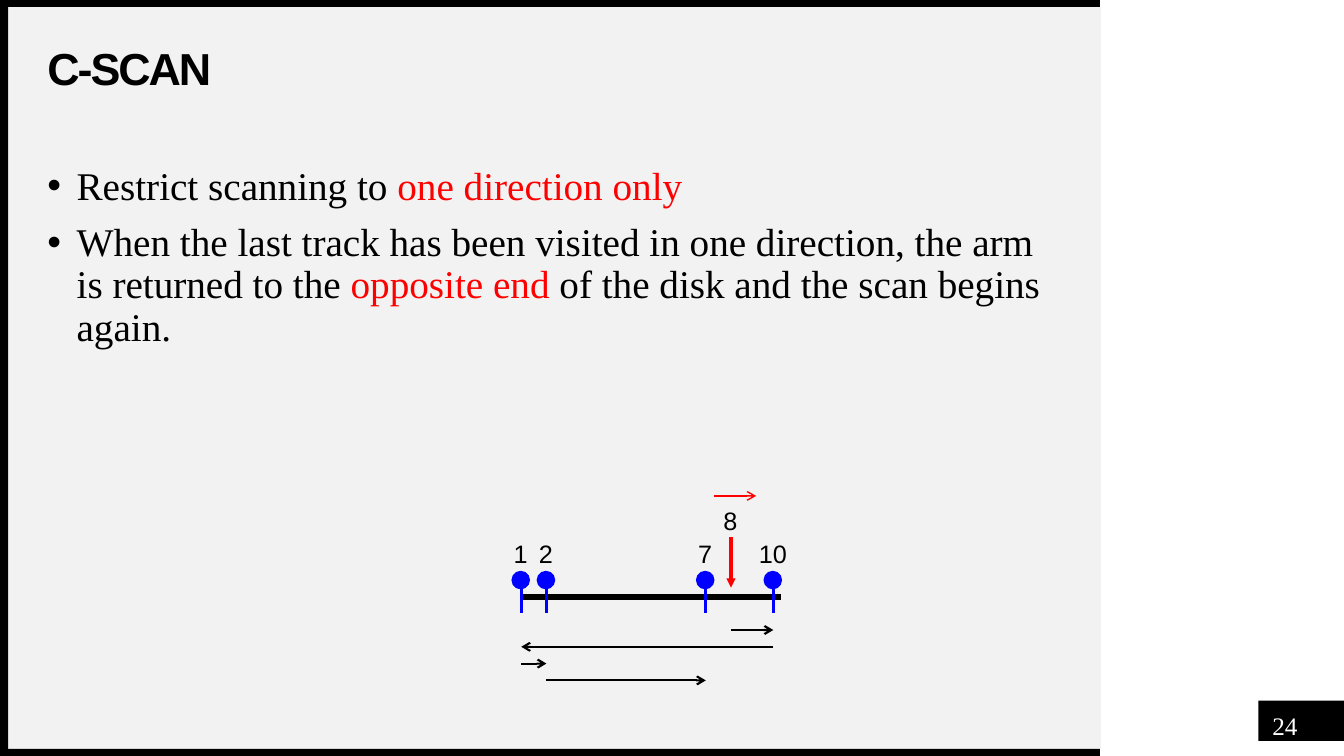
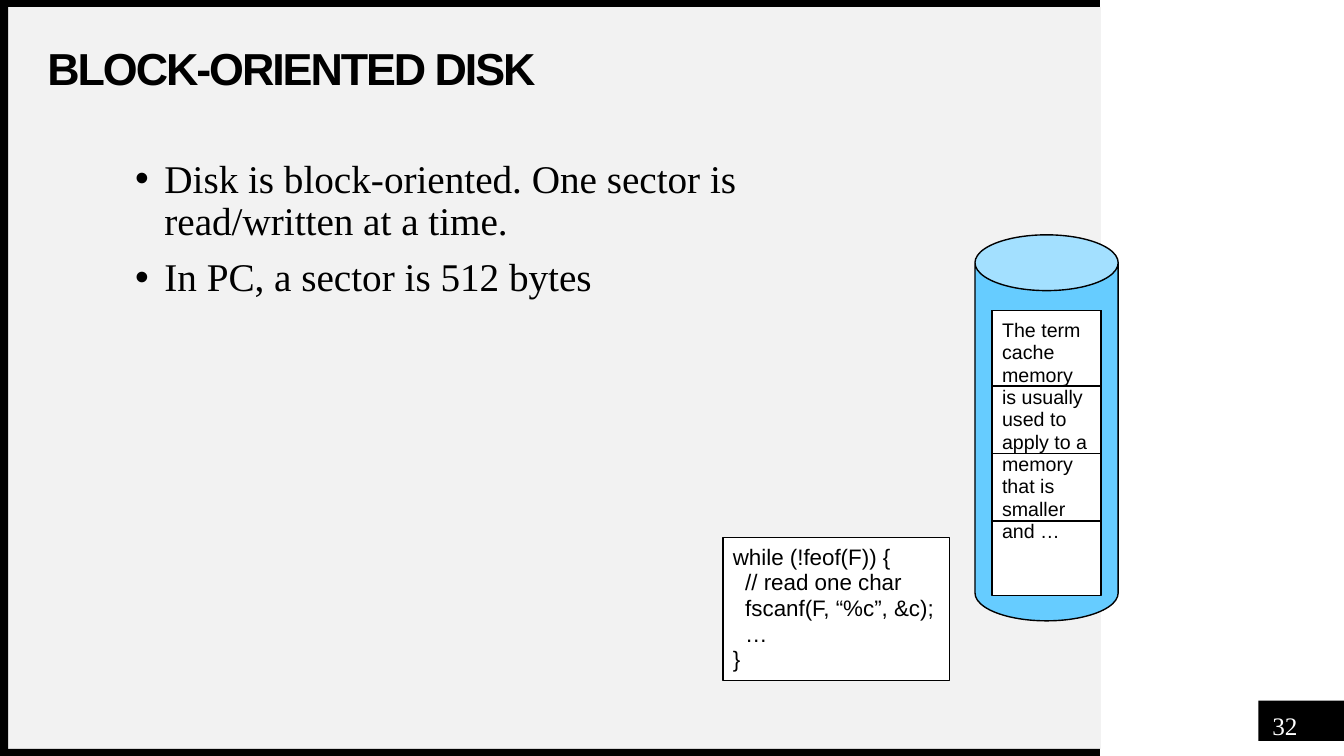
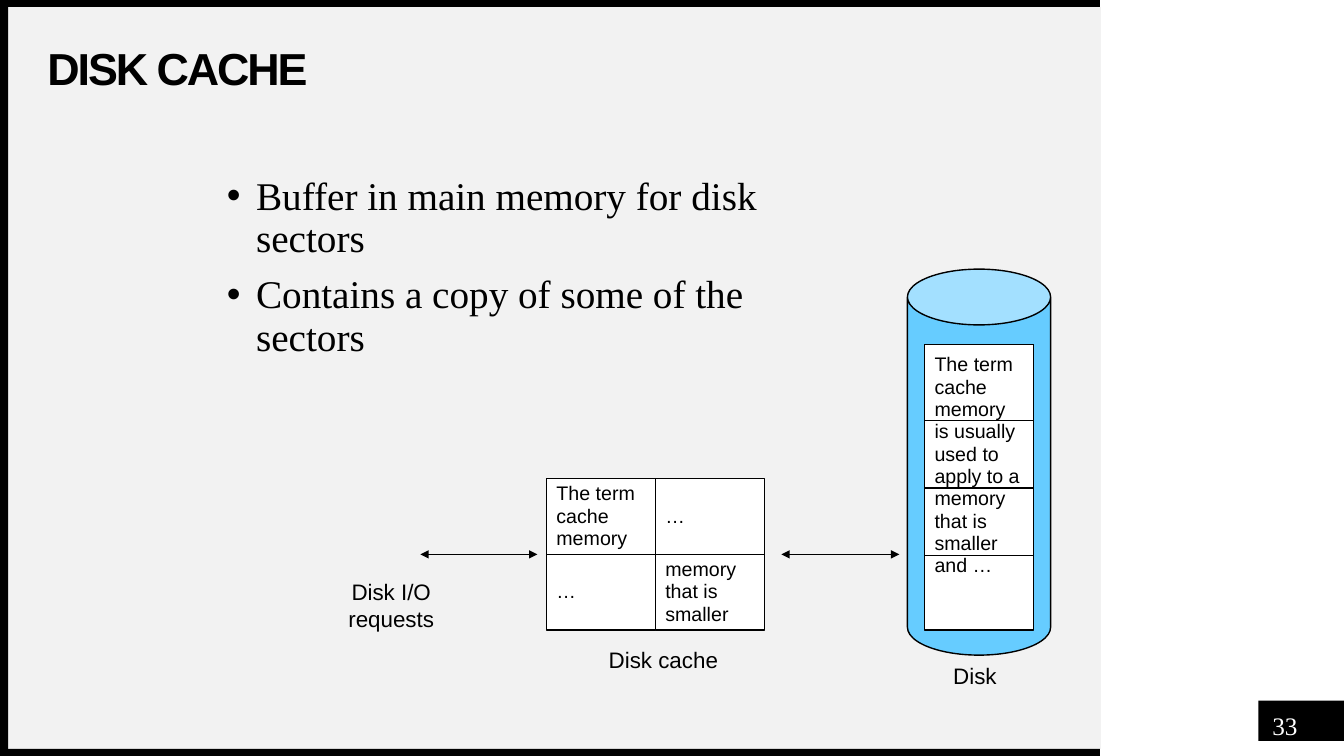
from dataclasses import dataclass

from pptx import Presentation
from pptx import util as u
from pptx.dml.color import RGBColor
from pptx.enum import shapes, text
from pptx.oxml import parse_xml
from pptx.oxml import ns


@dataclass(frozen=True)
class Theme:
    ink: str = "000000"
    paper: str = "FFFFFF"
    panel: str = "F2F2F2"
    accent: str = "FF0000"
    request: str = "0000FF"
    disk: str = "66CCFF"
    sans: str = "Arial"
    serif: str = "Times New Roman"
    title_size: int = 32
    body_size: int = 28
    number_size: int = 18
    label_size: int = 16
    sector_size: int = 14


theme = Theme()
Inches = u.Inches
RECTANGLE = shapes.MSO_SHAPE.RECTANGLE
MIDDLE = text.MSO_ANCHOR.MIDDLE
LEFT, CENTER = text.PP_ALIGN.LEFT, text.PP_ALIGN.CENTER


def add_box(slide, at, lines=(), kind=RECTANGLE, fill=None, line=theme.ink, size=theme.sector_size,
            font=theme.sans, color=theme.ink, align=LEFT, anchor=MIDDLE, wrap=True, spacing=0.95):
    """Add a preset shape, or a text box when kind is None, with one paragraph per line."""
    place = [Inches(value) for value in at]
    if kind is None:
        shape = slide.shapes.add_textbox(*place)
    else:
        shape = slide.shapes.add_shape(kind, *place)
        shape.shadow.inherit = False
        if fill:
            shape.fill.solid()
            shape.fill.fore_color.rgb = RGBColor.from_string(fill)
        else:
            shape.fill.background()
        if line:
            shape.line.color.rgb = RGBColor.from_string(line)
            shape.line.width = u.Pt(1)
        else:
            shape.line.fill.background()
    frame = shape.text_frame
    frame.word_wrap = wrap
    frame.vertical_anchor = anchor
    for index, words in enumerate(lines):
        paragraph = frame.add_paragraph() if index else frame.paragraphs[0]
        paragraph.alignment = align
        paragraph.line_spacing = spacing
        run = paragraph.add_run()
        run.text = words
        run.font.name = font
        run.font.size = u.Pt(size)
        run.font.color.rgb = RGBColor.from_string(color)
    return shape


def add_line(slide, start, end, color=theme.ink, width=1.0, head=None, tail=None):
    """Add a straight line; head is the arrowhead at start, tail the one at end."""
    connector = slide.shapes.add_connector(
        shapes.MSO_CONNECTOR.STRAIGHT, *[Inches(value) for value in (*start, *end)])
    connector.line.color.rgb = RGBColor.from_string(color)
    connector.line.width = u.Pt(width)
    outline = connector.line._get_or_add_ln()
    for tag, arrow in (("headEnd", head), ("tailEnd", tail)):
        if arrow:
            outline.append(parse_xml(f'<a:{tag} {ns.nsdecls("a")} type="{arrow}"/>'))
    connector.element.spPr.append(parse_xml(f'<a:effectLst {ns.nsdecls("a")}/>'))


presentation = Presentation()
presentation.slide_width = Inches(13.33)
presentation.slide_height = Inches(7.5)
master = presentation.slide_master
layout = presentation.slide_layouts[1]

# Title and list styles
TITLE_STYLE = f"""<a:lvl1pPr {ns.nsdecls("a")} algn="l">
<a:lnSpc><a:spcPct val="90000"/></a:lnSpc><a:spcBef><a:spcPts val="0"/></a:spcBef><a:buNone/>
<a:defRPr sz="{theme.title_size * 100}" b="1" spc="-150">
<a:solidFill><a:srgbClr val="{theme.ink}"/></a:solidFill><a:latin typeface="{theme.sans}"/>
</a:defRPr></a:lvl1pPr>"""
BODY_STYLE = f"""<a:lvl1pPr {ns.nsdecls("a")} marL="{Inches(0.29)}" indent="{-Inches(0.29)}" algn="l">
<a:lnSpc><a:spcPct val="90000"/></a:lnSpc><a:spcBef><a:spcPts val="1000"/></a:spcBef>
<a:buFont typeface="{theme.sans}"/><a:buChar char="•"/>
<a:defRPr sz="{theme.body_size * 100}">
<a:solidFill><a:srgbClr val="{theme.ink}"/></a:solidFill><a:latin typeface="{theme.serif}"/>
</a:defRPr></a:lvl1pPr>"""
for tag, style in (("p:titleStyle", TITLE_STYLE), ("p:bodyStyle", BODY_STYLE)):
    level = master.element.find(f".//{ns.qn(tag)}/{ns.qn('a:lvl1pPr')}")
    level.getparent().replace(level, parse_xml(style))

for placeholder, at, anchor in (
        (master.placeholders[0], (0.47, 0.47, 10.06, 0.47), MIDDLE),
        (master.placeholders[1], (0.47, 1.14, 10.06, 5.61), text.MSO_ANCHOR.TOP)):
    placeholder.left, placeholder.top, placeholder.width, placeholder.height = map(Inches, at)
    frame = placeholder.text_frame
    frame.margin_left = frame.margin_top = frame.margin_right = frame.margin_bottom = 0
    frame.vertical_anchor = anchor
    frame.auto_size = text.MSO_AUTO_SIZE.NONE

# Titles, lists and page numbers; each bullet is a list of (words, colour) runs
PAGES = [
    ("C-SCAN", "24", (0.47, 1.65, 10.06, 5.1), [
        [("Restrict scanning to ", None), ("one direction only", theme.accent)],
        [("When the last track has been visited in one direction, the arm is returned to the ", None),
         ("opposite end ", theme.accent), ("of the disk and the scan begins again.", None)]]),
    ("BLOCK-ORIENTED DISK", "32", (1.34, 1.58, 6.25, 4.5), [
        [("Disk is block-oriented. One sector is read/written at a time.", None)],
        [("In PC, a sector is 512 bytes", None)]]),
    ("DISK CACHE", "33", (2.25, 1.75, 5.5, 4.5), [
        [("Buffer in main memory for disk sectors", None)],
        [("Contains a copy of some of the sectors", None)]]),
]
for title, number, at, bullets in PAGES:
    slide = presentation.slides.add_slide(layout)
    slide.shapes.title.text_frame.paragraphs[0].add_run().text = title
    body = slide.placeholders[1]
    body.left, body.top, body.width, body.height = map(Inches, at)
    for index, bullet in enumerate(bullets):
        paragraph = body.text_frame.add_paragraph() if index else body.text_frame.paragraphs[0]
        if index == 0:
            paragraph.space_before = u.Pt(0)
        for words, color in bullet:
            run = paragraph.add_run()
            run.text = words
            if color:
                run.font.color.rgb = RGBColor.from_string(color)
    add_box(slide, (12.52, 7, 0.61, 0.31), [number], kind=None, size=theme.number_size,
            font=theme.serif, color=theme.paper, anchor=text.MSO_ANCHOR.TOP, spacing=1.0)
scan_slide, block_slide, cache_slide = presentation.slides

# Panel and bands, drawn once and moved to the master behind its placeholders
BANDS = [
    ((0.08, 0.07, 10.84, 7.36), theme.panel),
    ((12.48, 6.95, 0.86, 0.4), theme.ink),
    ((0, 7.43, 10.91, 0.07), theme.ink),
    ((0, 0, 10.91, 0.07), theme.ink),
    ((0, 0.03, 0.08, 7.47), theme.ink),
    ((10.99, 6.83, 1.45, 0.59), theme.paper),
]
for index, (at, color) in enumerate(BANDS):
    band = add_box(scan_slide, at, fill=color, line=None)
    band.element.nvSpPr.cNvPr.set("id", str(20 + index))
    master.shapes.element.insert(2 + index, band.element)

# C-SCAN: requested tracks, head position and sweeps
add_line(scan_slide, (5.17, 5.92), (7.75, 5.92), width=4.5)
TRACKS = {"1": 5.17, "2": 5.42, "7": 7.0, "10": 7.67}
HEAD = 7.25
for x in TRACKS.values():
    add_line(scan_slide, (x, 5.75), (x, 6.08), theme.request, 2.25)
    add_box(scan_slide, (x - 0.09, 5.67, 0.17, 0.17), kind=shapes.MSO_SHAPE.OVAL,
            fill=theme.request, line=theme.request)
add_line(scan_slide, (HEAD, 5.33), (HEAD, 5.83), theme.accent, 2.25, tail="triangle")
for track, x, top in [*((track, x, 5.33) for track, x in TRACKS.items()), ("8", HEAD, 5)]:
    label = add_box(scan_slide, (x - 0.17, top, 0.33, 0.33), [track], kind=None,
                    size=theme.number_size, align=CENTER, wrap=False, spacing=1.0)
    label.text_frame.margin_left = label.text_frame.margin_right = 0
stops = [HEAD, TRACKS["10"], TRACKS["1"], TRACKS["2"], TRACKS["7"]]
for index, (start, end) in enumerate(zip(stops, stops[1:])):
    y = 6.25 + index / 6
    add_line(scan_slide, (start, y), (end, y), width=1.5, tail="arrow")
add_line(scan_slide, (7.08, 4.92), (7.5, 4.92), theme.accent, tail="arrow")

# Disk with its sectors
for slide, left, top in ((block_slide, 9.67, 2.33), (cache_slide, 9, 2.67)):
    can = add_box(slide, (left, top, 1.42, 3.83), kind=shapes.MSO_SHAPE.CAN, fill=theme.disk)
    can.adjustments[0] = 0.39
    sector_left, sector_top = left + 0.17, top + 0.75
    content = add_box(
        slide, (sector_left, sector_top, 1.08, 2.83),
        ["The term cache memory is usually used to apply to a memory that is smaller and …"],
        fill=theme.paper, anchor=text.MSO_ANCHOR.TOP)
    content.text_frame.margin_top = Inches(0.09)
    for offset, height in ((0, 0.75), (1.42, 0.67)):
        add_box(slide, (sector_left, sector_top + offset, 1.08, height))

# Block-oriented disk: reading loop
add_box(block_slide, (7.17, 5.33, 2.25, 1.42),
        ["while (!feof(F)) {", "  // read one char", "  fscanf(F, “%c”, &c);", "  …", "}"],
        fill=theme.paper, size=theme.label_size, wrap=False)

# Disk cache: cached sectors, labels and transfers
CACHE = [["The term cache memory", "…"], ["…", "memory that is smaller"]]
for row, sectors in enumerate(CACHE):
    for column, words in enumerate(sectors):
        add_box(cache_slide, (5.42 + column * 1.08, 4.75 + row * 0.75, 1.08, 0.75),
                [words], fill=theme.paper)
for caption, at in (("Disk cache", (5.83, 6.42, 1.5, 0.25)),
                    ("Disk", (8.92, 6.58, 1.5, 0.25)),
                    ("Disk I/O requests", (3.17, 5.75, 1.42, 0.5))):
    add_box(cache_slide, at, [caption], kind=None, size=theme.label_size, align=CENTER, spacing=1.0)
for start, end in ((7.75, 8.92), (4.17, 5.33)):
    add_line(cache_slide, (start, 5.5), (end, 5.5), head="triangle", tail="triangle")

presentation.save("out.pptx")
